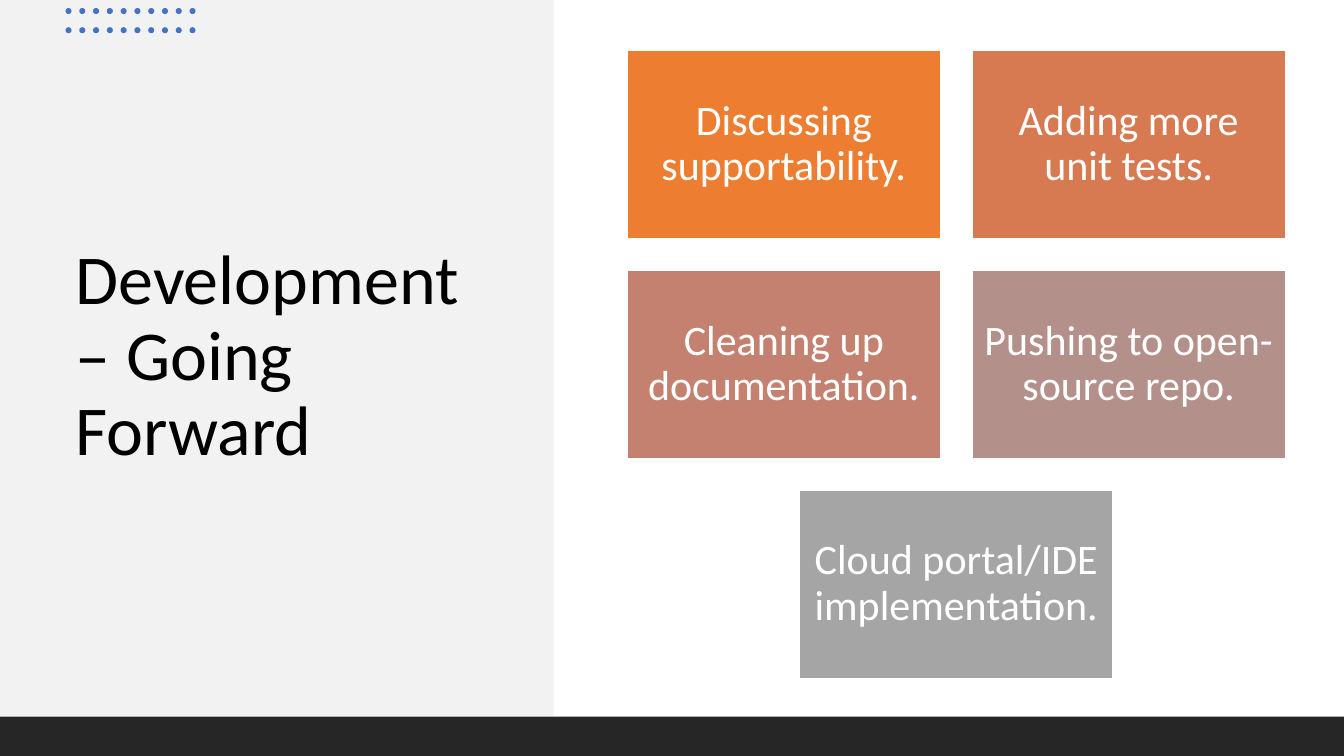
from pptx import Presentation
from pptx.dml.color import RGBColor
from pptx.enum.shapes import MSO_SHAPE
from pptx.enum.text import MSO_ANCHOR, PP_ALIGN
from pptx.util import Inches, Pt

BLACK = RGBColor(0x00, 0x00, 0x00)
WHITE = RGBColor(0xFF, 0xFF, 0xFF)
PANEL_GREY = RGBColor(0xF2, 0xF2, 0xF2)
FOOTER_GREY = RGBColor(0x26, 0x26, 0x26)
DOT_BLUE = RGBColor(0x44, 0x72, 0xC4)

TASKS = [
    ("Discussing supportability.", RGBColor(0xED, 0x7D, 0x31)),
    ("Adding more unit tests.", RGBColor(0xD8, 0x7A, 0x51)),
    ("Cleaning up documentation.", RGBColor(0xC4, 0x81, 0x70)),
    ("Pushing to open-source repo.", RGBColor(0xB4, 0x90, 0x8B)),
    ("Cloud portal/IDE implementation.", RGBColor(0xA5, 0xA5, 0xA5)),
]
SLIDE_WIDTH, SLIDE_HEIGHT = 13.33, 7.5
TILE_WIDTH, TILE_HEIGHT, TILE_GAP = 3.11, 1.87, 0.31
TILES_LEFT, TILES_TOP, TILE_COLUMNS = 6.22, 0.5, 2
DOT_COLUMNS, DOT_ROWS, DOT_SIZE = 10, 2, 0.06
DOTS_LEFT, DOTS_RIGHT, DOTS_TOP, DOT_ROW_STEP = 0.65, 1.88, 0.08, 0.19


class SlideBuilder:
    """Holds the text style and the slide being built."""

    font_name = "Calibri"
    line_spacing = 0.9

    def __init__(self, slide):
        """Keep the slide that receives the elements."""
        self.slide = slide

    def shape(self, kind, box, color, group=None):
        """Add a flat filled shape to the slide or to a group."""
        shapes = (group or self.slide).shapes
        shape = shapes.add_shape(kind, *map(Inches, box))
        shape.shadow.inherit = False
        shape.fill.solid()
        shape.fill.fore_color.rgb = color
        shape.line.fill.background()
        return shape

    def set_text(self, shape, text, size, color, align):
        """Put one wrapped, vertically centred paragraph in a shape."""
        frame = shape.text_frame
        frame.word_wrap = True
        frame.vertical_anchor = MSO_ANCHOR.MIDDLE
        paragraph = frame.paragraphs[0]
        paragraph.text = text
        paragraph.alignment = align
        paragraph.line_spacing = self.line_spacing
        paragraph.font.name = self.font_name
        paragraph.font.size = Pt(size)
        paragraph.font.color.rgb = color
        return frame

    def title(self, text, box):
        """Add the slide title."""
        textbox = self.slide.shapes.add_textbox(*map(Inches, box))
        self.set_text(textbox, text, 50, BLACK, PP_ALIGN.LEFT)

    def dots(self):
        """Add a grouped grid of small dots."""
        group = self.slide.shapes.add_group_shape()
        column_step = (DOTS_RIGHT - DOTS_LEFT) / (DOT_COLUMNS - 1)
        for row in range(DOT_ROWS):
            for column in range(DOT_COLUMNS):
                box = (DOTS_LEFT + column * column_step,
                       DOTS_TOP + row * DOT_ROW_STEP, DOT_SIZE, DOT_SIZE)
                self.shape(MSO_SHAPE.OVAL, box, DOT_BLUE, group)

    def tile(self, text, color, left, top):
        """Add a white-edged tile with its task."""
        box = (left, top, TILE_WIDTH, TILE_HEIGHT)
        shape = self.shape(MSO_SHAPE.RECTANGLE, box, color)
        shape.line.color.rgb = WHITE
        shape.line.width = Pt(1)
        frame = self.set_text(shape, text, 30, WHITE, PP_ALIGN.CENTER)
        frame.margin_left = frame.margin_right = Inches(0.12)
        frame.margin_top = frame.margin_bottom = Inches(0.12)

    def tiles(self, tasks):
        """Lay the tasks out in rows, centring a row that is not full."""
        column_step = TILE_WIDTH + TILE_GAP
        row_step = TILE_HEIGHT + TILE_GAP
        for index, (text, color) in enumerate(tasks):
            row, column = divmod(index, TILE_COLUMNS)
            in_row = min(TILE_COLUMNS, len(tasks) - row * TILE_COLUMNS)
            indent = (TILE_COLUMNS - in_row) / 2
            self.tile(text, color, TILES_LEFT + (column + indent) * column_step,
                      TILES_TOP + row * row_step)


def main():
    """Build and save the presentation."""
    presentation = Presentation()
    presentation.slide_width = Inches(SLIDE_WIDTH)
    presentation.slide_height = Inches(SLIDE_HEIGHT)
    slide = presentation.slides.add_slide(presentation.slide_layouts[6])
    builder = SlideBuilder(slide)
    builder.shape(MSO_SHAPE.RECTANGLE, (0, 0, 5.49, 7.1), PANEL_GREY)
    builder.title("Development – Going Forward", (0.65, 1.32, 4.24, 4.45))
    builder.dots()
    builder.shape(MSO_SHAPE.RECTANGLE, (0, 7.11, SLIDE_WIDTH, 0.39), FOOTER_GREY)
    builder.tiles(TASKS)
    presentation.save("out.pptx")


main()
